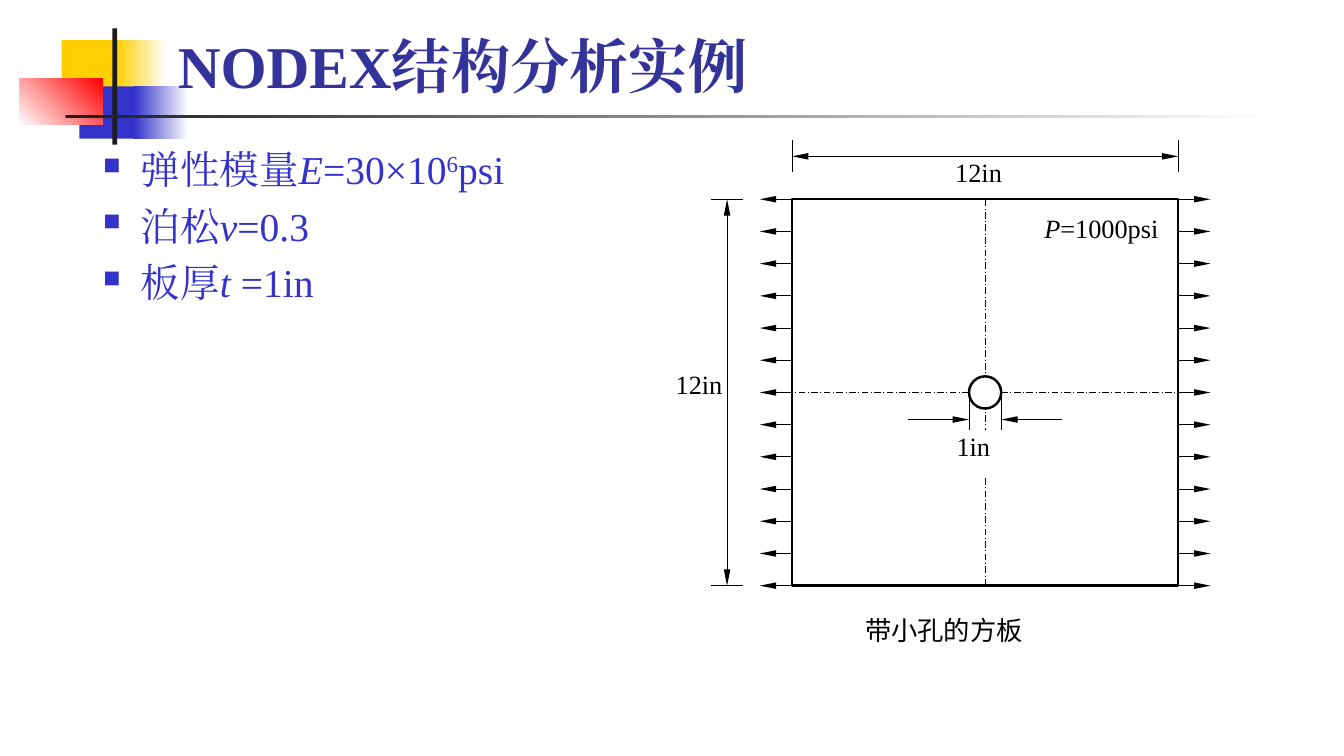
from dataclasses import dataclass

from lxml import etree
from pptx import Presentation
from pptx import util as u
from pptx.dml.color import RGBColor
from pptx.enum import dml, shapes, text
from pptx.oxml.ns import qn


@dataclass(frozen=True)
class Theme:
    yellow: str = "FFCF01"
    blue: str = "3333CC"
    navy: str = "333399"
    red: str = "FF0000"
    dark: str = "1C1C1C"
    black: str = "000000"
    white: str = "FFFFFF"
    latin: str = "Times New Roman"
    chinese: str = "Noto Sans CJK SC"
    title: int = 36
    body: int = 24
    label: int = 16
    thin: float = 0.5
    thick: float = 1.5


THEME = Theme()
UNIT = 0.69
PLATE_INCHES = 12
SIDE = PLATE_INCHES * UNIT
LEFT, TOP = 16.97, 4.27
RIGHT, BOTTOM = LEFT + SIDE, TOP + SIDE
MID_X, MID_Y = LEFT + SIDE / 2, TOP + SIDE / 2
RADIUS = UNIT / 2


def lengths(*values):
    return [u.Cm(value) for value in values]


def add_block(page, area, color, fade_to=None, angle=0):
    block = page.shapes.add_shape(shapes.MSO_SHAPE.RECTANGLE, *lengths(*area))
    block.shadow.inherit = False
    block.line.fill.background()
    if fade_to is None:
        block.fill.solid()
        block.fill.fore_color.rgb = RGBColor.from_string(color)
    else:
        block.fill.gradient()
        block.fill.gradient_angle = angle
        for stop, shade in zip(block.fill.gradient_stops, (color, fade_to)):
            stop.color.rgb = RGBColor.from_string(shade)


def add_outline(page, kind, area):
    outline = page.shapes.add_shape(kind, *lengths(*area))
    outline.shadow.inherit = False
    outline.fill.background()
    outline.line.color.rgb = RGBColor.from_string(THEME.black)
    outline.line.width = u.Pt(THEME.thick)


def add_line(page, start, end, head=False, tail=False, dash=None):
    line = page.shapes.add_connector(
        shapes.MSO_CONNECTOR.STRAIGHT, *lengths(*start, *end))
    line.line.color.rgb = RGBColor.from_string(THEME.black)
    line.line.width = u.Pt(THEME.thin)
    if dash is not None:
        line.line.dash_style = dash
    stroke = line.line._get_or_add_ln()
    for tag, wanted in (("a:headEnd", head), ("a:tailEnd", tail)):
        if wanted:
            etree.SubElement(stroke, qn(tag), type="triangle", w="sm", len="lg")
    etree.SubElement(line._element.spPr, qn("a:effectLst"))


def add_box(page, area, margins=(0, 0)):
    box = page.shapes.add_textbox(*lengths(*area))
    frame = box.text_frame
    frame.word_wrap = True
    frame.margin_left = frame.margin_right = u.Cm(margins[0])
    frame.margin_top = frame.margin_bottom = u.Cm(margins[1])
    return box


def add_spans(para, parts, size, color, font=THEME.latin, bold=False):
    for words, style in parts:
        span = para.add_run()
        span.text = words
        span.font.size = u.Pt(size)
        span.font.bold = bold
        span.font.italic = style == "italic"
        span.font.color.rgb = RGBColor.from_string(color)
        span.font.name = font
        properties = span._r.get_or_add_rPr()
        etree.SubElement(properties, qn("a:ea"), typeface=font)
        if style == "super":
            properties.set("baseline", "30000")


def add_bullet(para):
    properties = para._p.get_or_add_pPr()
    indent = u.Cm(0.81)
    properties.set("marL", str(indent))
    properties.set("indent", str(-indent))
    shade = etree.SubElement(properties, qn("a:buClr"))
    etree.SubElement(shade, qn("a:srgbClr"), val=THEME.blue)
    etree.SubElement(properties, qn("a:buSzPct"), val="60000")
    etree.SubElement(properties, qn("a:buChar"), char="■")


def add_label(page, area, parts, filled=False):
    box = add_box(page, area)
    if filled:
        box.fill.solid()
        box.fill.fore_color.rgb = RGBColor.from_string(THEME.white)
    add_spans(box.text_frame.paragraphs[0], parts, THEME.label, THEME.black)


def add_decoration(page):
    add_block(page, (1.32, 0.86, 1.37, 1.12), THEME.yellow)
    add_block(page, (2.51, 0.86, 1.04, 1.12), THEME.yellow, THEME.white)
    add_block(page, (1.7, 1.85, 1.32, 1.12), THEME.blue)
    add_block(page, (2.87, 1.85, 1.17, 1.12), THEME.blue, THEME.white)
    add_block(page, (0.41, 1.68, 1.78, 0.99), THEME.white, THEME.red, 45)
    add_block(page, (2.41, 0.61, 0.1, 2.49), THEME.dark)
    add_block(page, (1.4, 2.46, 25.91, 0.08), THEME.dark, THEME.white)


def add_title(page):
    box = add_box(page, (3.58, 0.51, 24.56, 1.75), (0.23, 0.11))
    box.text_frame.vertical_anchor = text.MSO_ANCHOR.BOTTOM
    add_spans(box.text_frame.paragraphs[0], [("NODEX结构分析实例", None)],
              THEME.title, THEME.navy, bold=True)


def add_properties(page):
    rows = [
        [("弹性模量", None), ("E", "italic"), ("=30×10", None),
         ("6", "super"), ("psi", None)],
        [("泊松", None), ("v", "italic"), ("=0.3", None)],
        [("板厚", None), ("t ", "italic"), ("=1in", None)],
    ]
    frame = add_box(page, (1.98, 3, 13, 4.5), (0.23, 0.11)).text_frame
    for index, parts in enumerate(rows):
        para = frame.add_paragraph() if index else frame.paragraphs[0]
        if index:
            para.space_before = u.Pt(5.5)
        add_bullet(para)
        add_spans(para, parts, THEME.body, THEME.blue)


def add_centre_lines(page):
    for sign in (-1, 1):
        reach, rim = sign * SIDE / 2, sign * RADIUS
        dash = dml.MSO_LINE.LONG_DASH_DOT
        add_line(page, (MID_X + rim, MID_Y), (MID_X + reach, MID_Y), dash=dash)
        add_line(page, (MID_X, MID_Y + reach), (MID_X, MID_Y + rim), dash=dash)


def add_dimensions(page):
    across, down, gauge = 3.35, 15.58, 8.99
    for x in (LEFT, RIGHT):
        add_line(page, (x, across + RADIUS), (x, across - RADIUS))
    for y in (TOP, BOTTOM):
        add_line(page, (down + RADIUS, y), (down - RADIUS, y))
    add_line(page, (LEFT, across), (RIGHT, across), head=True, tail=True)
    add_line(page, (down, TOP), (down, BOTTOM), head=True, tail=True)
    for sign in (-1, 1):
        x = MID_X + sign * RADIUS
        add_line(page, (x, gauge), (x + sign * 1.31, gauge), head=True)
        add_line(page, (x, MID_Y), (x, 9.3))


def add_loads(page):
    for row in range(PLATE_INCHES + 1):
        y = TOP + row * UNIT
        add_line(page, (LEFT, y), (LEFT - UNIT, y), tail=True)
        add_line(page, (RIGHT, y), (RIGHT + UNIT, y), tail=True)


def add_plate(page):
    add_centre_lines(page)
    add_dimensions(page)
    add_loads(page)
    add_outline(page, shapes.MSO_SHAPE.OVAL,
                (MID_X - RADIUS, MID_Y - RADIUS, UNIT, UNIT))
    add_outline(page, shapes.MSO_SHAPE.RECTANGLE, (LEFT, TOP, SIDE, SIDE))
    add_label(page, (14.48, 7.9, 1.27, 0.79), [("12in", None)])
    add_label(page, (20.47, 3.35, 1.27, 0.79), [("12in", None)])
    add_label(page, (20.5, 9.22, 1.27, 0.99), [("1in", None)], filled=True)
    add_label(page, (22.38, 4.55, 2.69, 0.79),
              [("P", "italic"), ("=1000psi", None)])
    caption = add_box(page, (14.73, 13.03, 11, 1.3), (0.25, 0.13))
    para = caption.text_frame.paragraphs[0]
    para.alignment = text.PP_ALIGN.CENTER
    add_spans(para, [("带小孔的方板", None)], THEME.label, THEME.black,
              THEME.chinese)


def main():
    deck = Presentation()
    deck.slide_width, deck.slide_height = lengths(28.8, 16.2)
    page = deck.slides.add_slide(deck.slide_layouts[6])
    add_decoration(page)
    add_title(page)
    add_properties(page)
    add_plate(page)
    deck.save("out.pptx")


if __name__ == "__main__":
    main()
